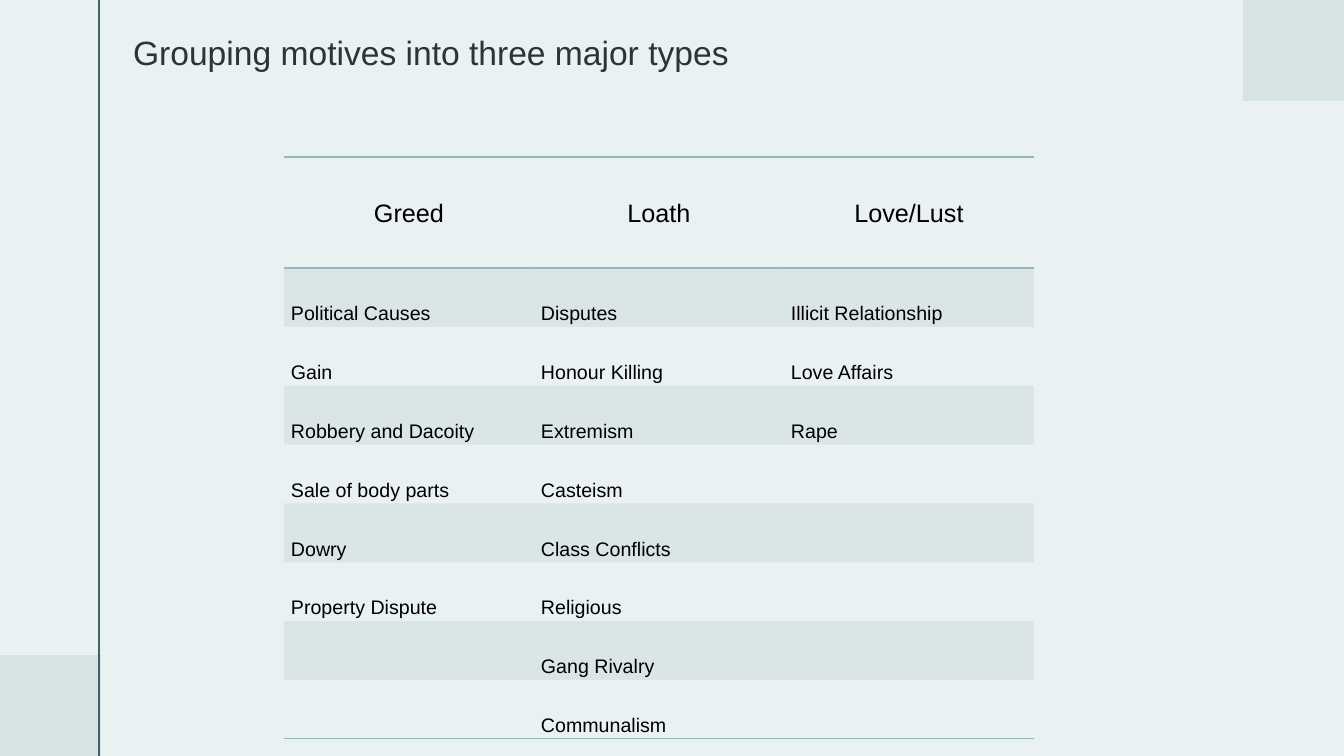
from dataclasses import dataclass
from itertools import zip_longest

from lxml.etree import SubElement
from pptx import Presentation
from pptx.dml.color import RGBColor
from pptx.enum.shapes import MSO_CONNECTOR, MSO_SHAPE
from pptx.enum.text import MSO_ANCHOR, MSO_AUTO_SIZE, PP_ALIGN
from pptx.oxml.ns import qn
from pptx.util import Emu, Pt


@dataclass(frozen=True)
class Theme:
    """Colours, font and type sizes of the slide."""
    paper: str = "EAF1F2"
    block: str = "D5E3E5"
    rail: str = "40636A"
    accent: str = "95B8BF"
    title: str = "2C3436"
    text: str = "000000"
    font: str = "Arial"
    title_size: int = 24
    head_size: int = 18
    body_size: int = 14


T = Theme()
W, H = 1344, 756
BLOCK = 101
NO_STYLE = "{2D5ABB26-0587-4C30-8999-92F81FD0307C}"
MOTIVES = {
    "Greed": ["Political Causes", "Gain", "Robbery and Dacoity",
              "Sale of body parts", "Dowry", "Property Dispute"],
    "Loath": ["Disputes", "Honour Killing", "Extremism", "Casteism",
              "Class Conflicts", "Religious", "Gang Rivalry", "Communalism"],
    "Love/Lust": ["Illicit Relationship", "Love Affairs", "Rape"],
}


def px(n):
    """Turn slide pixels into EMU."""
    return Emu(round(n * 914400 / 100.8))


def rgb(code):
    """Turn a hex code into a colour."""
    return RGBColor.from_string(code)


def add_run(p, text, size, color):
    """Add one formatted run to a paragraph."""
    r = p.add_run()
    r.text = text
    r.font.name = T.font
    r.font.size = Pt(size)
    r.font.color.rgb = rgb(color)


def add_block(s, x, y):
    """Add a plain corner square."""
    sp = s.shapes.add_shape(MSO_SHAPE.RECTANGLE, px(x), px(y), px(BLOCK), px(BLOCK))
    sp.shadow.inherit = False
    sp.fill.solid()
    sp.fill.fore_color.rgb = rgb(T.block)
    sp.line.fill.background()


def add_rail(s, x):
    """Add the full-height vertical line."""
    sp = s.shapes.add_connector(MSO_CONNECTOR.STRAIGHT, px(x), 0, px(x), px(H))
    sp.line.color.rgb = rgb(T.rail)
    sp.line.width = Pt(1.5)
    SubElement(sp._element.spPr, qn("a:effectLst"))


def set_title(s, text):
    """Place and fill the title placeholder."""
    sp = s.shapes.title
    sp.left, sp.top, sp.width, sp.height = px(123), px(27), px(1040), px(50)
    tf = sp.text_frame
    tf.word_wrap = True
    tf.auto_size = MSO_AUTO_SIZE.SHAPE_TO_FIT_TEXT
    tf.vertical_anchor = MSO_ANCHOR.TOP
    p = tf.paragraphs[0]
    p.alignment = PP_ALIGN.LEFT
    p.line_spacing = 1.0
    add_run(p, text, T.title_size, T.title)


def add_border(cell, side):
    """Draw one edge of a cell."""
    ln = SubElement(cell._tc.get_or_add_tcPr(), qn(f"a:ln{side}"), w=str(Pt(1)))
    SubElement(SubElement(ln, qn("a:solidFill")), qn("a:srgbClr"), val=T.accent)


def fill_cell(cell, banded):
    """Give a cell a translucent band or no fill."""
    if not banded:
        cell.fill.background()
        return
    cell.fill.solid()
    cell.fill.fore_color.rgb = rgb(T.accent)
    clr = cell._tc.tcPr.find(qn("a:solidFill")).find(qn("a:srgbClr"))
    SubElement(clr, qn("a:alpha"), val="20000")


def write_cell(cell, text, head):
    """Write the text of a heading or body cell."""
    cell.vertical_anchor = MSO_ANCHOR.MIDDLE
    cell.margin_left = cell.margin_right = px(7)
    cell.margin_top = cell.margin_bottom = 0
    p = cell.text_frame.paragraphs[0]
    p.alignment = PP_ALIGN.CENTER if head else PP_ALIGN.LEFT
    p.line_spacing = 1.07 if head else 2.5
    add_run(p, text, T.head_size if head else T.body_size, T.text)


def add_motives(s, x, y, col_w, head_h, row_h):
    """Add the table with one column for each type of motive."""
    rows = [list(MOTIVES), *zip_longest(*MOTIVES.values(), fillvalue="")]
    cols, last = len(MOTIVES), len(rows) - 1
    frame = s.shapes.add_table(len(rows), cols, px(x), px(y),
                               px(cols * col_w), px(head_h + last * row_h))
    table = frame.table
    table.first_row = table.horz_banding = False
    table._tbl.tblPr.find(qn("a:tableStyleId")).text = NO_STYLE
    for col in table.columns:
        col.width = px(col_w)
    for i, texts in enumerate(rows):
        table.rows[i].height = px(row_h if i else head_h)
        for j, text in enumerate(texts):
            cell = table.cell(i, j)
            if i == 0:
                add_border(cell, "T")
            if i in (0, last):
                add_border(cell, "B")
            fill_cell(cell, i % 2 == 1)
            if text:
                write_cell(cell, text, i == 0)


def main():
    """Build and save the slide."""
    prs = Presentation()
    prs.slide_width, prs.slide_height = px(W), px(H)
    s = prs.slides.add_slide(prs.slide_layouts[5])
    s.background.fill.solid()
    s.background.fill.fore_color.rgb = rgb(T.paper)
    add_block(s, 0, H - BLOCK)
    add_block(s, W - BLOCK, 0)
    add_rail(s, 99)
    add_motives(s, 284, 157, 250, 111, 55)
    set_title(s, "Grouping motives into three major types")
    prs.save("out.pptx")


if __name__ == "__main__":
    main()
